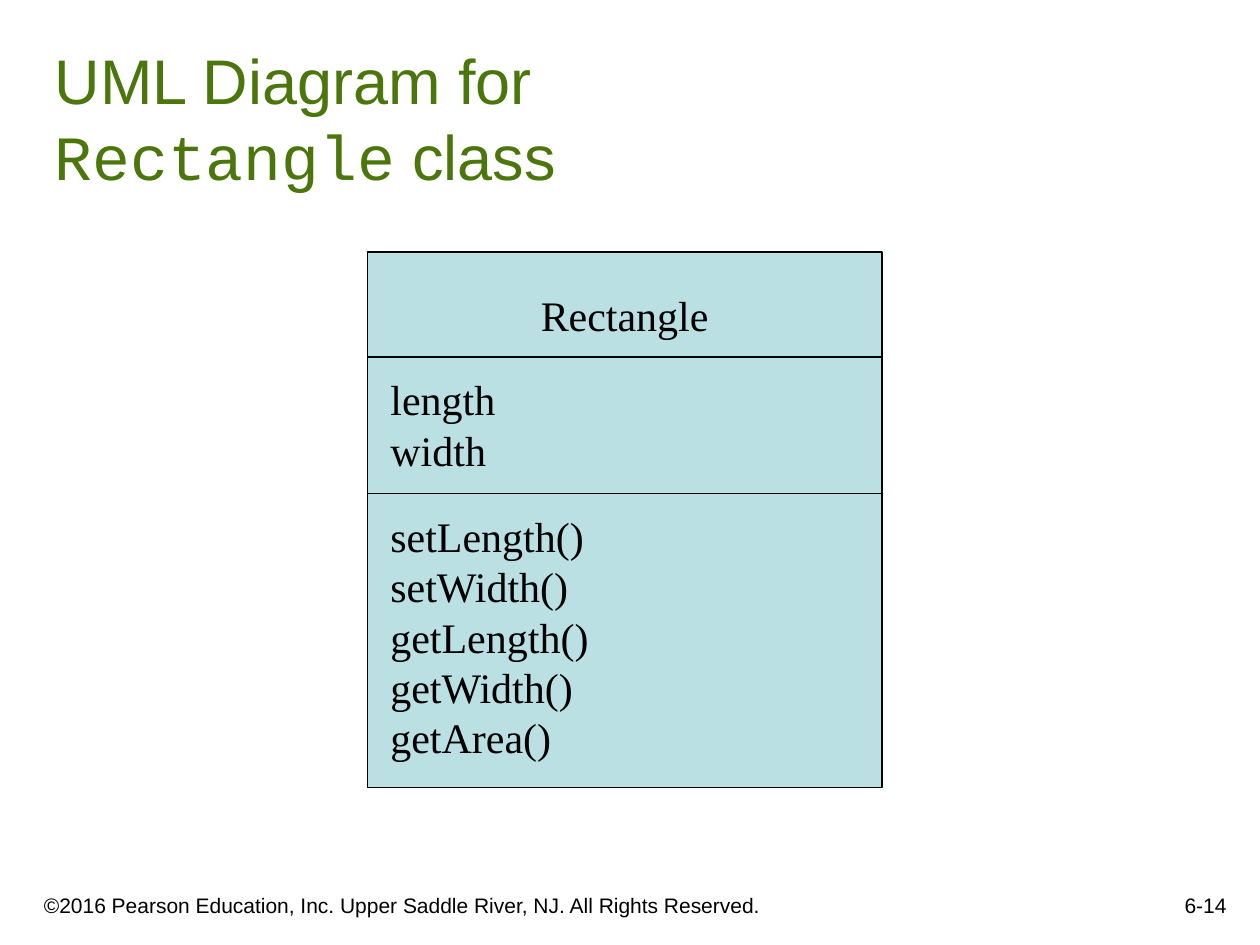
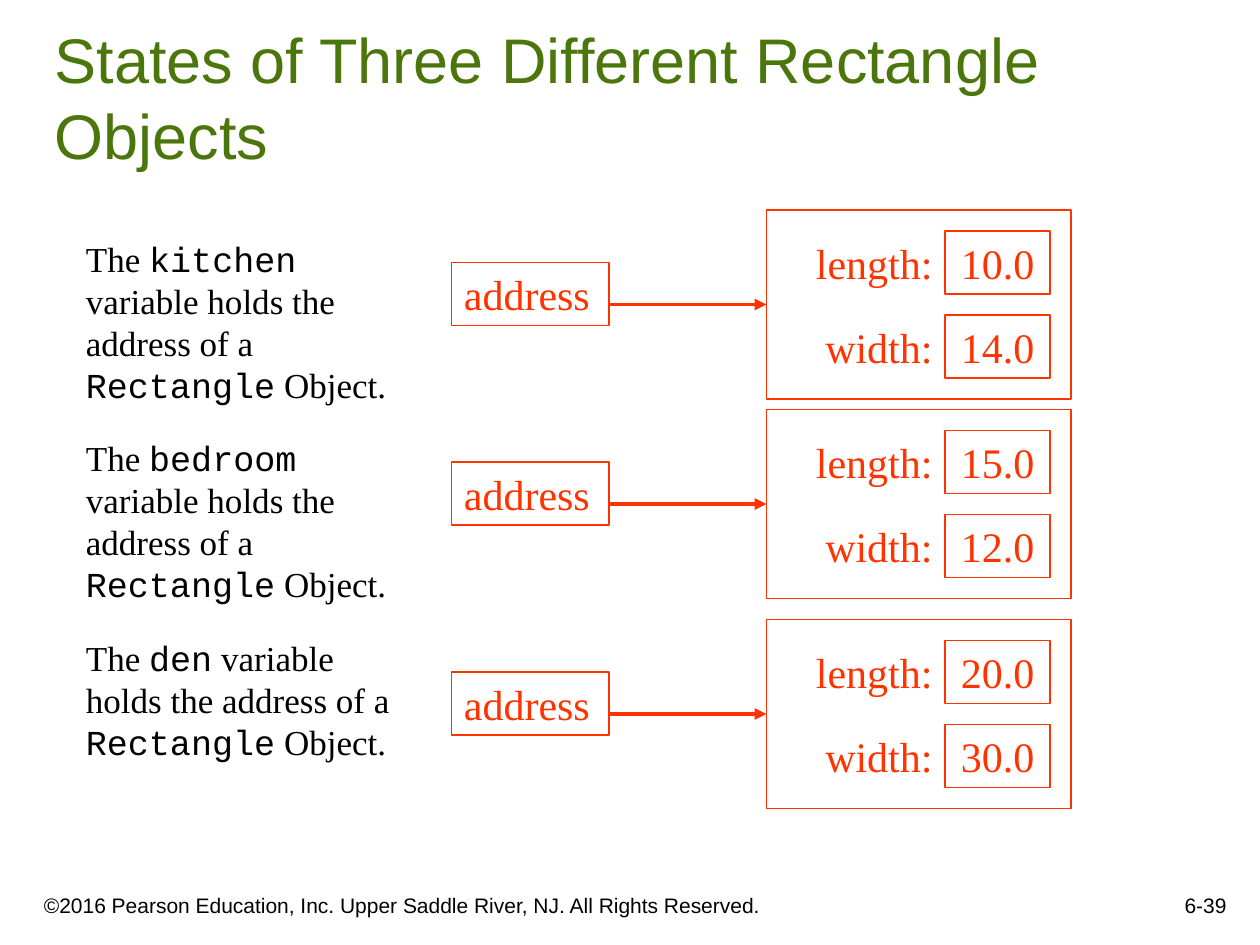
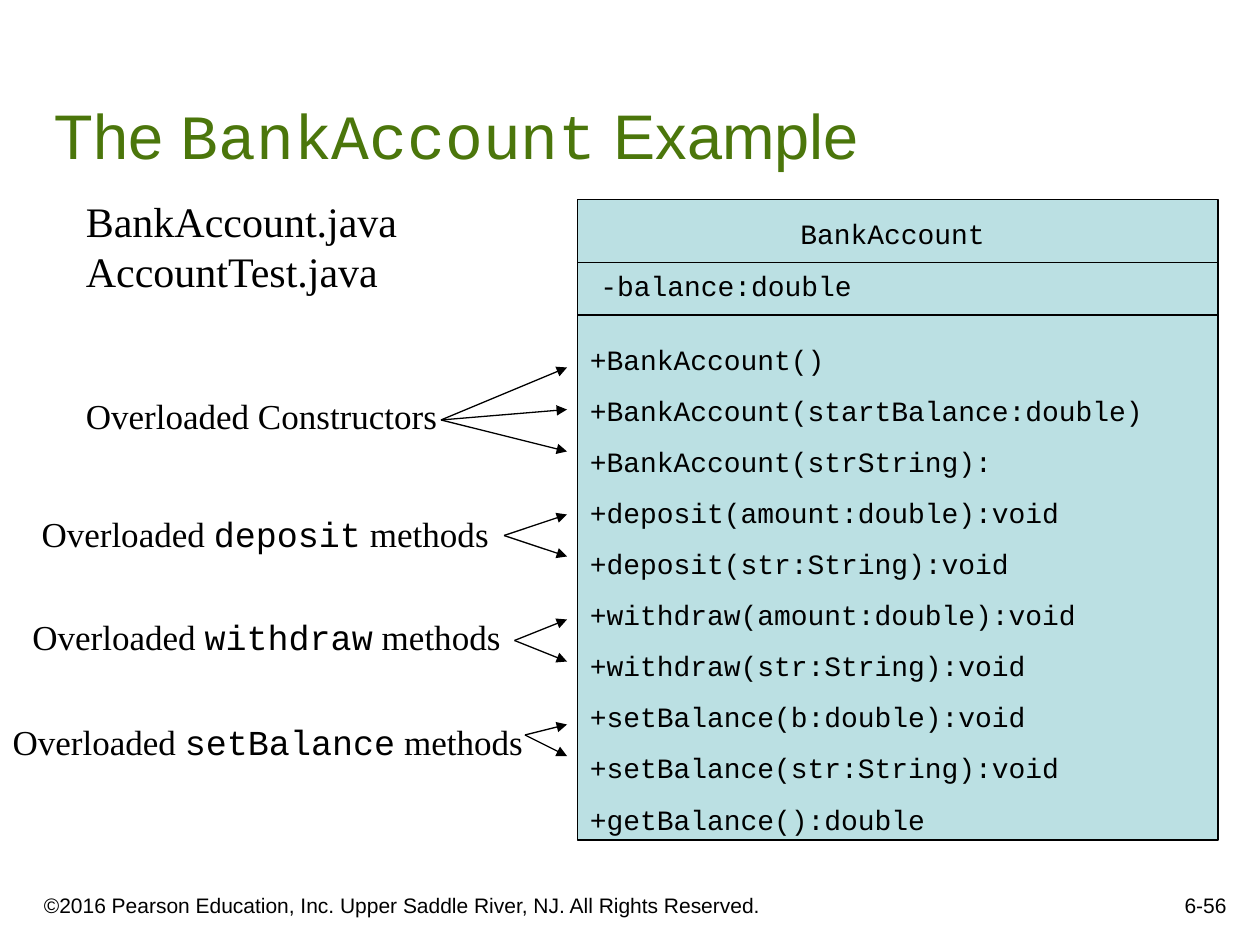
"""Builds three slides on classes and objects."""
from dataclasses import dataclass

from lxml import etree
from pptx import Presentation
from pptx.dml.color import RGBColor
from pptx.enum import shapes, text
from pptx.oxml import ns
from pptx.util import Pt

LEFT, CENTER, RIGHT = text.PP_ALIGN.LEFT, text.PP_ALIGN.CENTER, text.PP_ALIGN.RIGHT
TOP, BOTTOM = text.MSO_ANCHOR.TOP, text.MSO_ANCHOR.BOTTOM


@dataclass(frozen=True)
class Theme:
    """Colours, fonts, type sizes and line widths of the deck."""
    black: RGBColor = RGBColor(0x00, 0x00, 0x00)
    green: RGBColor = RGBColor(0x4B, 0x76, 0x0B)
    red: RGBColor = RGBColor(0xFF, 0x33, 0x00)
    panel: RGBColor = RGBColor(0xBB, 0xE0, 0xE3)
    sans: str = "Arial"
    serif: str = "Times New Roman"
    mono: str = "Courier New"
    title: int = 36
    large: int = 24
    body: int = 20
    code: int = 16
    footer: int = 12
    leading: float = 1.2
    thin: float = 0.75
    thick: float = 2.25


THEME = Theme()
COPYRIGHT = "©2016 Pearson Education, Inc. Upper Saddle River, NJ. All Rights Reserved."


def points(*lengths):
    """Turn plain numbers into lengths in points."""
    return [Pt(length) for length in lengths]


def write(frame, paragraphs, size, font=THEME.serif, color=THEME.black,
          align=LEFT, anchor=TOP, wrap=True, gap=0):
    """Fill a text frame; backticks mark code and newlines break lines."""
    frame.word_wrap = wrap
    frame.auto_size = text.MSO_AUTO_SIZE.NONE
    frame.vertical_anchor = anchor
    for index, content in enumerate(paragraphs):
        para = frame.add_paragraph() if index else frame.paragraphs[0]
        para.alignment = align
        para.line_spacing = Pt(size * THEME.leading)
        para.space_before = Pt(gap if index else 0)
        para.font.name, para.font.size = font, Pt(size)
        para.font.color.rgb = color
        for number, piece in enumerate(content.split("`")):
            for row, words in enumerate(piece.split("\n")):
                if row:
                    para.add_line_break()
                if words:
                    span = para.add_run()
                    span.text = words
                    if number % 2:
                        span.font.name = THEME.mono


def label(page, box, content, size, **style):
    """Add a text box holding one paragraph or a list of them."""
    paragraphs = [content] if isinstance(content, str) else content
    write(page.shapes.add_textbox(*points(*box)).text_frame, paragraphs, size, **style)


def frame_box(page, box, color, fill=None):
    """Add a thin-lined rectangle, hollow unless a fill is given."""
    shape = page.shapes.add_shape(shapes.MSO_SHAPE.RECTANGLE, *points(*box))
    shape.shadow.inherit = False
    shape.line.color.rgb, shape.line.width = color, Pt(THEME.thin)
    if fill is None:
        shape.fill.background()
    else:
        shape.fill.solid()
        shape.fill.fore_color.rgb = fill
    return shape


def rule(page, start, end, color=THEME.black, width=THEME.thin, arrow=False):
    """Draw a straight line, with an arrowhead at its end if asked."""
    line = page.shapes.add_connector(shapes.MSO_CONNECTOR.STRAIGHT, *points(*start, *end))
    line.line.color.rgb, line.line.width = color, Pt(width)
    if arrow:
        etree.SubElement(line.line._get_or_add_ln(), ns.qn("a:tailEnd"), type="triangle")
    etree.SubElement(line._element.spPr, ns.qn("a:effectLst"))


def titled_page(deck, title, number, box=(24, 24, 678, 78)):
    """Add a slide with its title, copyright line and page number."""
    page = deck.slides.add_slide(deck.slide_layouts[5])
    heading = page.shapes.title
    heading.left, heading.top, heading.width, heading.height = points(*box)
    write(heading.text_frame, [title], THEME.title, THEME.sans, THEME.green, anchor=BOTTOM)
    label(page, (18, 498, 438, 30), COPYRIGHT, THEME.footer, font=THEME.sans, anchor=BOTTOM)
    label(page, (558, 492, 150, 36), number, THEME.footer, font=THEME.sans,
          align=RIGHT, anchor=BOTTOM)
    return page


def class_diagram(page, box, dividers, sections, size, font):
    """Draw a class panel; sections are (indent, drop, width, height, text, align)."""
    left, top, width, _ = box
    frame_box(page, box, THEME.black, THEME.panel)
    for drop in dividers:
        rule(page, (left, top + drop), (left + width, top + drop))
    for indent, drop, span_width, height, content, align in sections:
        label(page, (left + indent, top + drop, span_width, height), content, size,
              font=font, align=align, gap=10)


def object_state(page, left, top, caption_drop, variable, fields):
    """Draw a variable's caption, its address and the object it refers to."""
    label(page, (left, top + caption_drop, 204, 104),
          f"The `{variable}` variable holds the address of a `Rectangle` Object.", THEME.body)
    address = frame_box(page, (left + 216, top + 30, 90, 36), THEME.red)
    write(address.text_frame, ["address"], THEME.large, color=THEME.red)
    rule(page, (left + 306, top + 54), (left + 396, top + 54), THEME.red, THEME.thick, True)
    frame_box(page, (left + 396, top, 174, 108), THEME.red)
    for index, (name, value) in enumerate(fields.items()):
        row = top + 12 + 48 * index
        label(page, (left + 408, row, 90, 36), f"{name}:", THEME.large,
              color=THEME.red, align=RIGHT)
        cell = frame_box(page, (left + 498, row, 60, 36), THEME.red)
        write(cell.text_frame, [value], THEME.large, color=THEME.red, align=CENTER)


def overload_note(page, box, content, origin, targets):
    """Add a note with arrows fanning out to the methods it names."""
    label(page, box, content, THEME.body, align=CENTER, wrap=False)
    for target in targets:
        rule(page, origin, (324, target), arrow=True)


def rectangle_class_page(deck):
    """Build the slide with the Rectangle class diagram."""
    page = titled_page(deck, "UML Diagram for\n`Rectangle` class", "6-14", (24, 24, 612, 90))
    methods = "setLength()\nsetWidth()\ngetLength()\ngetWidth()\ngetArea()"
    class_diagram(page, (210, 144, 294, 306), (60, 138), [
        (0, 18, 294, 36, "Rectangle", CENTER),
        (6, 66, 132, 65, "length\nwidth", LEFT),
        (6, 144, 138, 151, methods, LEFT),
    ], THEME.large, THEME.serif)


def object_states_page(deck):
    """Build the slide comparing three Rectangle objects."""
    page = titled_page(deck, "States of Three Different Rectangle Objects", "6-39")
    states = [
        (120, 12, "kitchen", "10.0", "14.0"),
        (234, 12, "bedroom", "15.0", "12.0"),
        (354, 6, "den", "20.0", "30.0"),
    ]
    for top, caption_drop, variable, length, width in states:
        object_state(page, 42, top, caption_drop, variable,
                     {"length": length, "width": width})


def bank_account_page(deck):
    """Build the slide with the BankAccount class and its overloads."""
    page = titled_page(deck, "The `BankAccount` Example", "6-56")
    label(page, (42, 108, 222, 65), "BankAccount.java\nAccountTest.java", THEME.large)
    methods = [
        "+BankAccount()",
        "+BankAccount(startBalance:double)",
        "+BankAccount(strString):",
        "+deposit(amount:double):void",
        "+deposit(str:String):void",
        "+withdraw(amount:double):void",
        "+withdraw(str:String):void",
        "+setBalance(b:double):void",
        "+setBalance(str:String):void",
        "+getBalance():double",
    ]
    class_diagram(page, (330, 114, 366, 366), (36, 66), [
        (0, 6, 360, 27, "BankAccount", CENTER),
        (6, 36, 324, 27, "-balance:double", LEFT),
        (0, 78, 366, 289, methods, LEFT),
    ], THEME.code, THEME.mono)
    notes = [
        ((42, 222, 215, 32), "Overloaded Constructors", (252, 240), (210, 234, 258)),
        ((16.5, 289.5, 270, 32), "Overloaded `deposit` methods", (288, 306), (294, 318)),
        ((11.5, 348, 281.5, 32), "Overloaded `withdraw` methods", (294, 366), (354, 378)),
        ((0, 408, 306, 32), "Overloaded `setBalance` methods", (300, 420), (414, 432)),
    ]
    for note in notes:
        overload_note(page, *note)


def main():
    """Build and save the deck."""
    deck = Presentation()
    deck.slide_width, deck.slide_height = points(720, 540)
    rectangle_class_page(deck)
    object_states_page(deck)
    bank_account_page(deck)
    deck.save("out.pptx")


if __name__ == "__main__":
    main()
